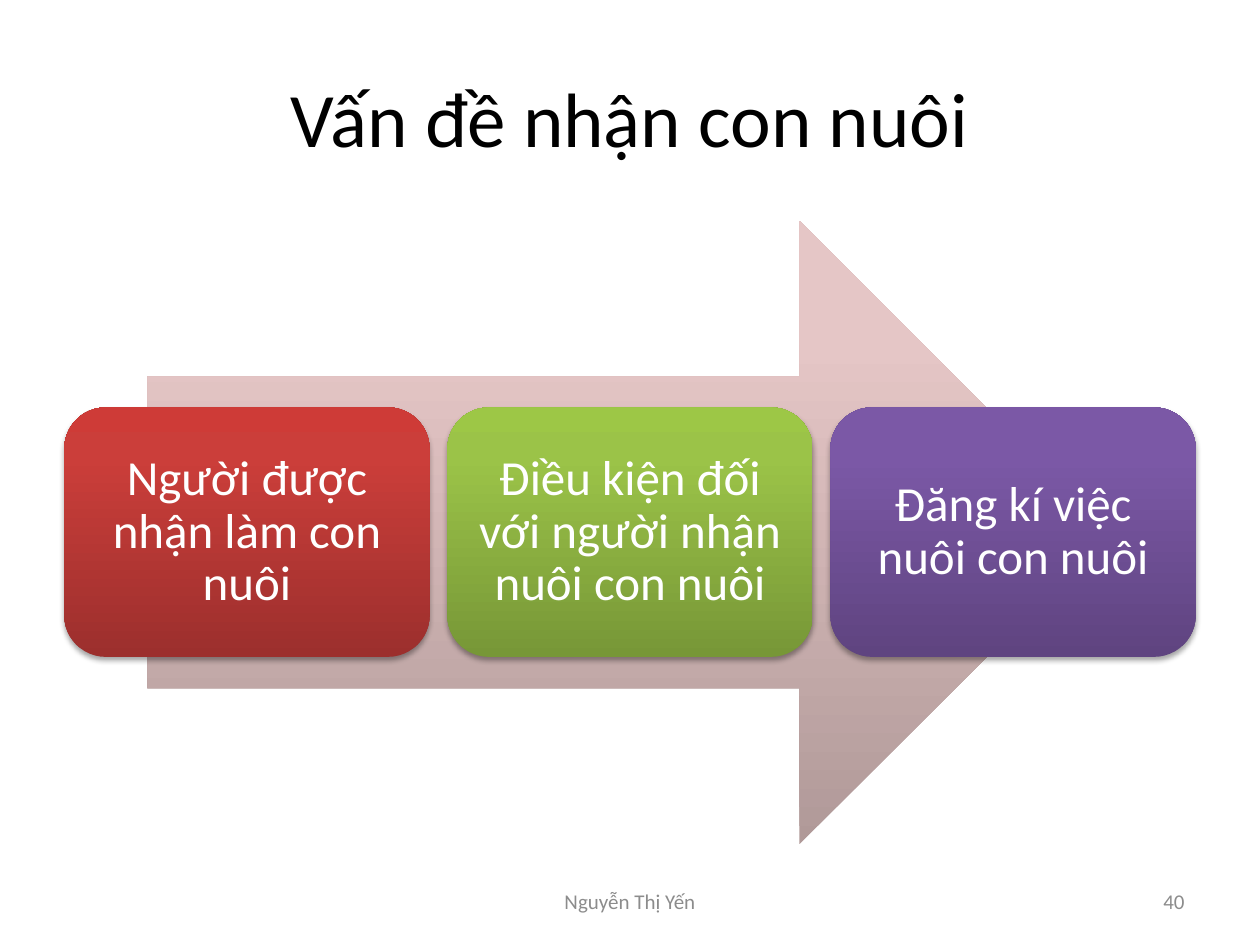
from copy import deepcopy
from typing import NamedTuple

from lxml import etree
from pptx import Presentation
from pptx.dml.color import RGBColor
from pptx.enum import shapes, text
from pptx.oxml import ns
from pptx.util import Pt

FONT = "Calibri"
BLACK = RGBColor(0x00, 0x00, 0x00)
WHITE = RGBColor(0xFF, 0xFF, 0xFF)
GREY = RGBColor(0x8C, 0x8C, 0x8C)


class Shades(NamedTuple):
    """Gradient colours from the bottom edge to the top."""
    bottom: RGBColor
    middle: RGBColor
    top: RGBColor


ROSE = Shades(RGBColor(0xB0, 0x99, 0x98), RGBColor(0xE5, 0xC6, 0xC6), RGBColor(0xE6, 0xC7, 0xC6))
RED = Shades(RGBColor(0x9C, 0x2F, 0x2D), RGBColor(0xCB, 0x3E, 0x3A), RGBColor(0xCE, 0x3B, 0x37))
GREEN = Shades(RGBColor(0x77, 0x97, 0x37), RGBColor(0x9B, 0xC3, 0x48), RGBColor(0x9D, 0xC7, 0x46))
PURPLE = Shades(RGBColor(0x5F, 0x44, 0x80), RGBColor(0x7B, 0x58, 0xA6), RGBColor(0x7C, 0x57, 0xA8))
STOP_POSITIONS = (0, 0.8, 1)


class Bounds(NamedTuple):
    left: float
    top: float
    width: float
    height: float

    def in_points(self) -> list[Pt]:
        return [Pt(length) for length in self]


class Step(NamedTuple):
    label: str
    shades: Shades


class FooterItem(NamedTuple):
    label: str
    bounds: Bounds
    align: text.PP_ALIGN


TITLE_BOUNDS = Bounds(36, 21.6, 648, 90)
ARROW_BOUNDS = Bounds(84.24, 126, 550.8, 356.4)
FIRST_STEP = Bounds(36.72, 232.8, 208.8, 142.56)
STEP_PITCH = 218.9
STEP_INSET = 8.64

STEPS = (
    Step("Người được nhận làm con nuôi", RED),
    Step("Điều kiện đối với người nhận nuôi con nuôi", GREEN),
    Step("Đăng kí việc nuôi con nuôi", PURPLE),
)
FOOTER = (
    FooterItem("Nguyễn Thị Yến", Bounds(246, 500.5, 228, 28.75), text.PP_ALIGN.CENTER),
    FooterItem("40", Bounds(516, 500.5, 168, 28.75), text.PP_ALIGN.RIGHT),
)


def write(frame, label: str, size: float, color: RGBColor, align=text.PP_ALIGN.CENTER):
    """Fill a text frame with one vertically centred paragraph and return it."""
    frame.word_wrap = True
    frame.vertical_anchor = text.MSO_ANCHOR.MIDDLE
    para = frame.paragraphs[0]
    para.alignment = align
    span = para.add_run()
    span.text = label
    span.font.name = FONT
    span.font.size = Pt(size)
    span.font.color.rgb = color
    return para


def add_shaded_shape(page, kind: shapes.MSO_SHAPE, bounds: Bounds, shades: Shades):
    shape = page.shapes.add_shape(kind, *bounds.in_points())
    shape.fill.gradient()
    shape.fill.gradient_angle = 90
    stop_list = shape._element.spPr.find(".//" + ns.qn("a:gsLst"))
    stop_list.append(deepcopy(stop_list[-1]))
    for stop, position, color in zip(shape.fill.gradient_stops, STOP_POSITIONS, shades):
        stop.position = position
        stop.color.rgb = color
    shape.line.fill.background()
    shape.shadow.inherit = False
    return shape


def add_soft_shadow(shape) -> None:
    effects = shape._element.spPr.find(ns.qn("a:effectLst"))
    shadow = etree.SubElement(
        effects, ns.qn("a:outerShdw"), blurRad=str(Pt(3.1)), dist=str(Pt(1.8)),
        dir="5400000", rotWithShape="0")
    color = etree.SubElement(shadow, ns.qn("a:srgbClr"), val=str(BLACK))
    etree.SubElement(color, ns.qn("a:alpha"), val="35000")


def add_step(page, step: Step, bounds: Bounds) -> None:
    box = add_shaded_shape(page, shapes.MSO_SHAPE.ROUNDED_RECTANGLE, bounds, step.shades)
    add_soft_shadow(box)
    frame = box.text_frame
    frame.margin_left = frame.margin_right = Pt(STEP_INSET)
    frame.margin_top = frame.margin_bottom = Pt(STEP_INSET)
    write(frame, step.label, 28, WHITE).line_spacing = 0.9


def add_footer_item(page, item: FooterItem) -> None:
    box = page.shapes.add_textbox(*item.bounds.in_points())
    write(box.text_frame, item.label, 12, GREY, item.align)


def main() -> None:
    deck = Presentation()
    deck.slide_width, deck.slide_height = Pt(720), Pt(540)
    page = deck.slides.add_slide(deck.slide_layouts.get_by_name("Title Only"))

    title = page.shapes.title
    title.left, title.top, title.width, title.height = TITLE_BOUNDS.in_points()
    write(title.text_frame, "Vấn đề nhận con nuôi", 44, BLACK)

    add_shaded_shape(page, shapes.MSO_SHAPE.RIGHT_ARROW, ARROW_BOUNDS, ROSE)
    for index, step in enumerate(STEPS):
        left = FIRST_STEP.left + index * STEP_PITCH
        add_step(page, step, FIRST_STEP._replace(left=left))
    for item in FOOTER:
        add_footer_item(page, item)

    deck.save("out.pptx")


if __name__ == "__main__":
    main()
